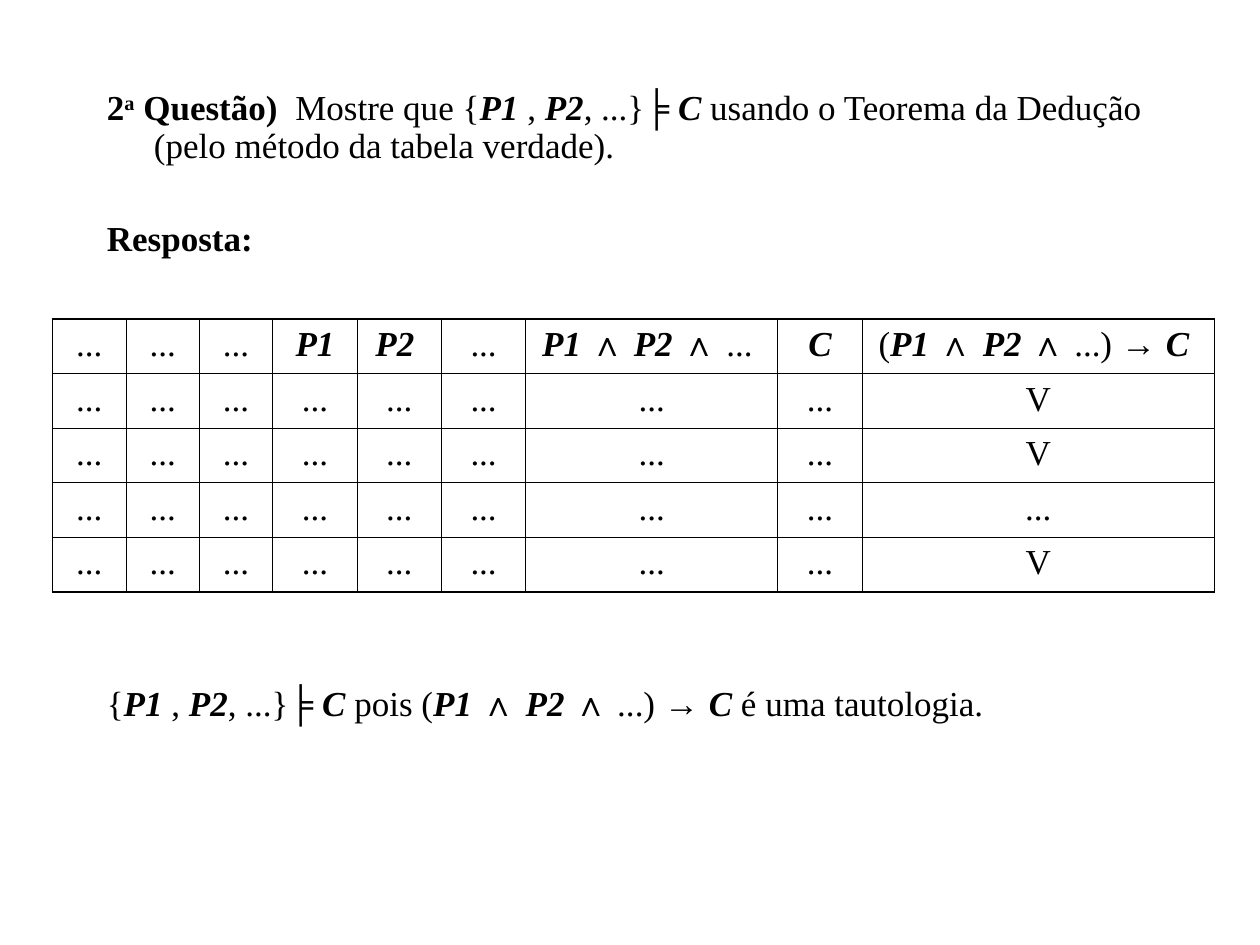
from lxml.etree import SubElement
from pptx import Presentation
from pptx.dml.color import RGBColor
from pptx.enum.text import MSO_AUTO_SIZE as AUTO, MSO_ANCHOR as ANCHOR, PP_ALIGN as ALIGN
from pptx.oxml.ns import qn
from pptx.util import Cm, Pt

BLACK = "000000"
PLAIN = {"name": "Times New Roman", "size": Pt(20), "bold": False, "italic": False}
BOLD = {**PLAIN, "bold": True}
VAR = {**BOLD, "italic": True}
SYMBOL = {**PLAIN, "name": "Arial"}
VAR_SYMBOL = {**VAR, "name": "Arial"}

ENTAILMENT = [("{", PLAIN), ("P1", VAR), (" , ", PLAIN), ("P2", VAR),
              (", ...}╞ ", PLAIN), ("C", VAR)]
IMPLICATION = [("(", PLAIN), ("P1 ", VAR), ("∧ ", SYMBOL), ("P2 ", VAR),
               ("∧", SYMBOL), (" ...) ", PLAIN), ("→ ", SYMBOL)]
CONJUNCTION = [("P1 ", VAR), ("∧", VAR_SYMBOL), (" P2 ", VAR),
               ("∧ ", VAR_SYMBOL), ("... ", PLAIN)]
DOTS = [("...", PLAIN)]

QUESTION = [("2", BOLD), ("a", {**BOLD, "baseline": 30000}), (" Questão)  ", BOLD),
            ("Mostre que ", PLAIN), *ENTAILMENT,
            (" usando o Teorema da Dedução (pelo método da tabela verdade).", PLAIN)]
ANSWER = [("Resposta:", BOLD)]
CONCLUSION = [*ENTAILMENT, (" pois ", PLAIN), *IMPLICATION, ("C", VAR),
              (" é uma tautologia.", PLAIN)]

HEADER = [DOTS, DOTS, DOTS, [("P1", VAR)], [("P2 ", VAR)], DOTS, CONJUNCTION,
          [("C", VAR)], [*IMPLICATION, ("C ", VAR)]]
RESULTS = ["V", "V", "...", "V"]
COL_WIDTHS = [1.48] * 3 + [1.7] * 3 + [5.08, 1.7, 7.1]
ROW_HEIGHT = 1.1
THIN, THICK = Pt(0.45), Pt(1.08)


def color(value):
    """Turn a hex string into a colour."""
    return RGBColor.from_string(value)


def set_attrs(obj, values):
    """Set every attribute named in a dict."""
    for name, value in values.items():
        setattr(obj, name, value)


def add_runs(p, runs):
    """Add formatted runs to a paragraph."""
    for text, style in runs:
        r = p.add_run()
        r.text = text
        set_attrs(r.font, {k: v for k, v in style.items() if k != "baseline"})
        r.font.color.rgb = color(BLACK)
        if "baseline" in style:
            r._r.get_or_add_rPr().set("baseline", str(style["baseline"]))


def hang(p):
    """Give a paragraph a hanging indent without a bullet."""
    pPr = p._p.get_or_add_pPr()
    pPr.set("marL", str(Cm(0.95)))
    pPr.set("indent", str(Cm(-0.95)))
    SubElement(pPr, qn("a:buNone"))


def fill_body(sp):
    """Place the body and write its paragraphs."""
    set_attrs(sp, {"left": Cm(1.9), "top": Cm(1.7), "width": Cm(21.6), "height": Cm(15.24)})
    tf = sp.text_frame
    set_attrs(tf, {"word_wrap": True, "auto_size": AUTO.NONE, "vertical_anchor": ANCHOR.TOP})
    rows = [(QUESTION, 5, ALIGN.LEFT), (ANSWER, 31.5, ALIGN.LEFT),
            (CONCLUSION, 244, ALIGN.JUSTIFY)]
    for i, (runs, gap, align) in enumerate(rows):
        p = tf.add_paragraph() if i else tf.paragraphs[0]
        set_attrs(p, {"line_spacing": 0.9, "space_before": Pt(gap), "alignment": align})
        hang(p)
        add_runs(p, runs)


def set_borders(cell, widths):
    """Draw the four borders of a cell."""
    tcPr = cell._tc.get_or_add_tcPr()
    for side, width in widths.items():
        ln = SubElement(tcPr, qn(f"a:ln{side}"), w=str(width))
        SubElement(SubElement(ln, qn("a:solidFill")), qn("a:srgbClr"), val=BLACK)


def fill_cell(cell, runs, widths):
    """Write and frame one table cell."""
    p = cell.text_frame.paragraphs[0]
    set_attrs(p, {"alignment": ALIGN.CENTER, "space_before": Pt(5)})
    add_runs(p, runs)
    set_borders(cell, widths)
    cell.fill.background()


def add_truth_table(s):
    """Add the truth table with a thicker outer frame."""
    rows = [HEADER] + [[DOTS] * 8 + [[(v, PLAIN)]] for v in RESULTS]
    n_rows, n_cols = len(rows), len(COL_WIDTHS)
    table = s.shapes.add_table(n_rows, n_cols, Cm(1.06), Cm(6.43),
                               Cm(sum(COL_WIDTHS)), Cm(ROW_HEIGHT * n_rows)).table
    set_attrs(table, {"first_row": False, "horz_banding": False})
    for col, width in zip(table.columns, COL_WIDTHS):
        col.width = Cm(width)
    for i, row in enumerate(rows):
        table.rows[i].height = Cm(ROW_HEIGHT)
        for j, runs in enumerate(row):
            outer = {"L": j == 0, "R": j == n_cols - 1, "T": i == 0, "B": i == n_rows - 1}
            widths = {side: THICK if edge else THIN for side, edge in outer.items()}
            fill_cell(table.cell(i, j), runs, widths)


def main():
    """Build and save the slide."""
    prs = Presentation()
    set_attrs(prs, {"slide_width": Cm(25.4), "slide_height": Cm(19.05)})
    s = prs.slides.add_slide(prs.slide_layouts[1])
    title = s.shapes.title._element
    title.getparent().remove(title)
    fill_body(s.placeholders[1])
    add_truth_table(s)
    prs.save("out.pptx")


if __name__ == "__main__":
    main()
